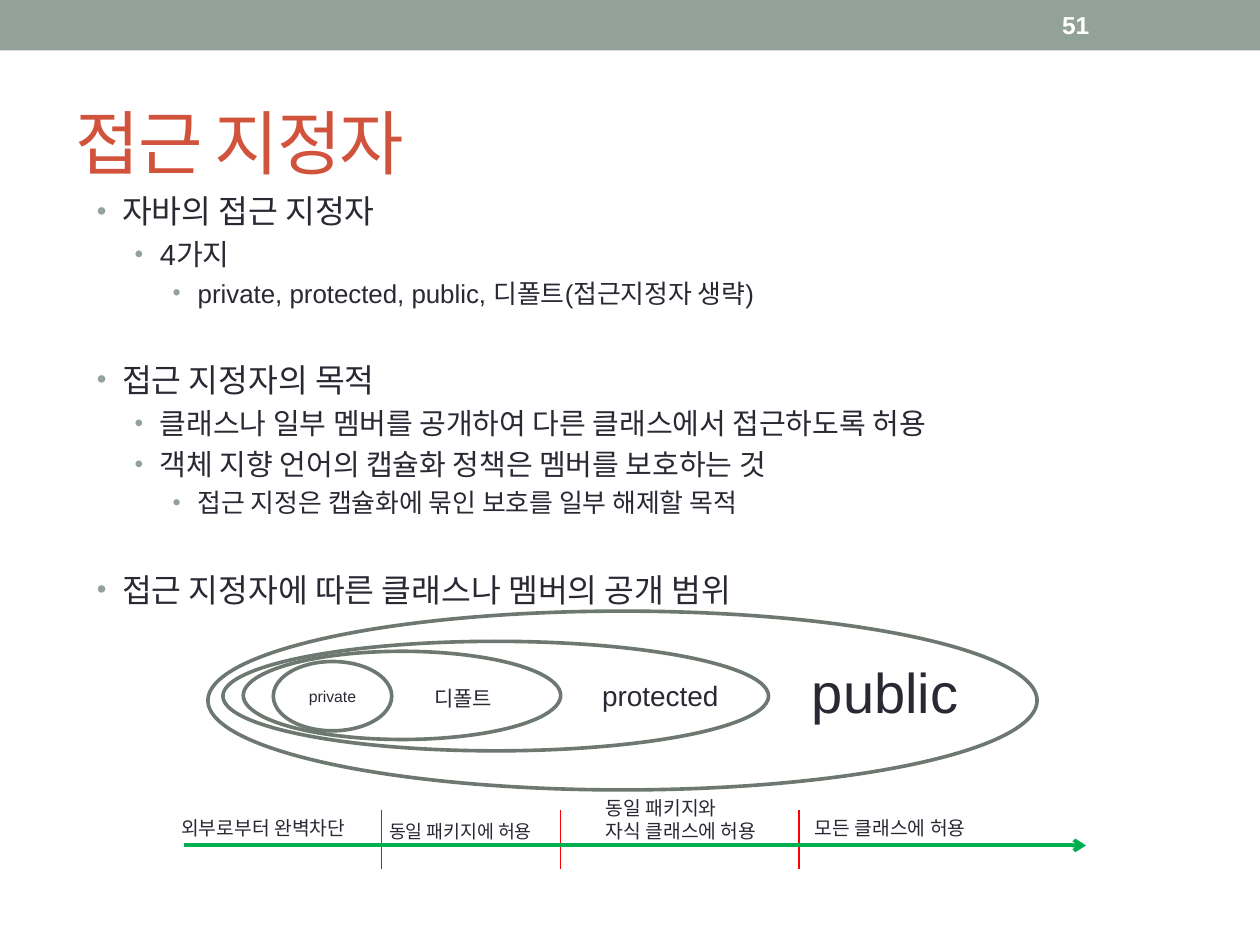
from lxml import etree
from pptx import Presentation
from pptx.dml.color import RGBColor
from pptx.enum.shapes import MSO_CONNECTOR, MSO_SHAPE
from pptx.enum.text import MSO_ANCHOR, MSO_AUTO_SIZE, PP_ALIGN
from pptx.oxml.ns import qn
from pptx.util import Pt

LINE = MSO_CONNECTOR.STRAIGHT
RECT, OVAL = MSO_SHAPE.RECTANGLE, MSO_SHAPE.OVAL
MIDDLE, TOP = MSO_ANCHOR.MIDDLE, MSO_ANCHOR.TOP
FIT, FIXED = MSO_AUTO_SIZE.SHAPE_TO_FIT_TEXT, MSO_AUTO_SIZE.NONE
LEFT, MID = PP_ALIGN.LEFT, PP_ALIGN.CENTER

INK, SAGE, GRAY = "292934", "93A299", "6D7871"
RUST, RED, GREEN, WHITE = "D2533C", "FF0000", "00B050", "FFFFFF"


def color(code):
    return RGBColor.from_string(code)


def add(parent, tag, **attrs):
    return etree.SubElement(parent, qn(tag), attrs)


class Page:
    # Per list level: text size, space before, bullet size
    levels = [(18.5, 4, 85), (16.6, 3.6, 85), (14.8, 3.3, 90)]

    def __init__(self, deck):
        self.slide = deck.slides.add_slide(deck.slide_layouts[1])
        self.shapes = self.slide.shapes

    def style(self, para, size, code=INK, align=LEFT, bold=False):
        para.alignment = align
        form = {"name": "Arial", "size": Pt(size), "bold": bold}
        for key, value in form.items():
            setattr(para.font, key, value)
        para.font.color.rgb = color(code)

    def place(self, shape, box):
        for key, value in zip(("left", "top", "width", "height"), box):
            setattr(shape, key, Pt(value))

    def frame(self, shape, **form):
        for key, value in form.items():
            setattr(shape.text_frame, key, value)
        return shape.text_frame

    def title(self, text, box):
        shape = self.shapes.title
        self.place(shape, box)
        frame = self.frame(shape, text=text, vertical_anchor=MIDDLE, auto_size=FIXED)
        para = frame.paragraphs[0]
        self.style(para, 40, RUST)
        para.runs[0].font._element.set("spc", "-100")

    def body(self, items, box):
        shape = self.slide.placeholders[1]
        self.place(shape, box)
        frame = self.frame(shape, vertical_anchor=TOP, auto_size=FIXED)
        for i, (level, text, gap) in enumerate(items):
            para = frame.add_paragraph() if i else frame.paragraphs[0]
            para.text, para.level = text, level
            size, before, scale = self.levels[level]
            self.bullet(para, level, scale)
            para.space_before = Pt(before + gap if i else 0)
            self.style(para, size)

    def bullet(self, para, level, scale):
        props = para._p.get_or_add_pPr()
        props.set("marL", str(Pt(14.4 + 21.6 * level)))
        props.set("indent", str(Pt(-14.4)))
        add(add(props, "a:buClr"), "a:srgbClr", val=SAGE)
        add(props, "a:buSzPct", val=str(scale * 1000))
        add(props, "a:buFont", typeface="Arial")
        add(props, "a:buChar", char="•")

    def label(self, text, box, size, code=INK, align=LEFT, bold=False,
              anchor=TOP, fit=FIT):
        shape = self.shapes.add_textbox(*map(Pt, box))
        frame = self.frame(shape, text=text, word_wrap=False,
                           vertical_anchor=anchor, auto_size=fit)
        for para in frame.paragraphs:
            self.style(para, size, code, align, bold)

    def shape(self, kind, box, fill=None, line=None, text="", size=9):
        shape = self.shapes.add_shape(kind, *map(Pt, box))
        shape.shadow.inherit = False
        if fill:
            shape.fill.solid()
            shape.fill.fore_color.rgb = color(fill)
        else:
            shape.fill.background()
        if line:
            shape.line.color.rgb = color(line)
            shape.line.width = Pt(2.08)
        else:
            shape.line.fill.background()
        if text:
            frame = self.frame(shape, text=text, vertical_anchor=MIDDLE)
            self.style(frame.paragraphs[0], size, align=MID)

    def line(self, start, end, code, width, arrow=False):
        line = self.shapes.add_connector(LINE, *map(Pt, start + end))
        line.line.color.rgb = color(code)
        line.line.width = Pt(width)
        if arrow:
            add(line.line._get_or_add_ln(), "a:tailEnd", type="arrow")
        add(line._element.spPr, "a:effectLst")


def main():
    deck = Presentation()
    deck.slide_width, deck.slide_height = Pt(720), Pt(540)
    page = Page(deck)

    # Top band and page number
    page.shape(RECT, (0, 0, 720, 28.8), fill=SAGE)
    page.label("51", (599.8, 1.4, 84.2, 26), 14, WHITE, bold=True,
               anchor=MIDDLE, fit=FIXED)

    # Title and list: level, text, extra gap above
    page.title("접근 지정자", (36, 41.8, 648, 77.8))
    page.body([
        (0, "자바의 접근 지정자", 0),
        (1, "4가지", 0),
        (2, "private, protected, public, 디폴트(접근지정자 생략)", 0),
        (0, "접근 지정자의 목적", 25.5),
        (1, "클래스나 일부 멤버를 공개하여 다른 클래스에서 접근하도록 허용", 0),
        (1, "객체 지향 언어의 캡슐화 정책은 멤버를 보호하는 것", 0),
        (2, "접근 지정은 캡슐화에 묶인 보호를 일부 해제할 목적", 0),
        (0, "접근 지정자에 따른 클래스나 멤버의 공개 범위", 25.5),
    ], (48.2, 105.8, 642.2, 244))

    # Nested scopes, innermost first
    page.shape(OVAL, (156.2, 378, 67.7, 39.6), line=GRAY, text="private")
    scopes = [
        ((139, 372.2, 181.4, 50.4), "디폴트", (239, 388.1, 51.1, 21.6), 12),
        ((127.4, 366.5, 311.8, 62.6), "protected", (334.8, 384.5, 85, 26.6), 16),
        ((118.8, 349.2, 473.8, 102.2), "public", (454.3, 372.2, 103, 46.1), 32),
    ]
    for ring, name, box, size in scopes:
        page.shape(OVAL, ring, line=GRAY)
        page.label(name, box, size, align=MID)

    # Scope axis: dividers, captions and arrow
    for x in (218.2, 320.4, 456.5):
        page.line((x, 462.8), (x, 496.6), RED, 0.75)
    notes = [
        ("외부로부터 완벽차단", (96.5, 463, 118.1, 20.9), 11),
        ("동일 패키지에 허용", (215.3, 465.1, 107.3, 20.2), 10.5),
        ("동일 패키지와\n자식 클래스에 허용", (339.1, 451.4, 110.9, 33.8), 11),
        ("모든 클래스에 허용", (458.6, 463, 110.9, 20.9), 11),
    ]
    for text, box, size in notes:
        page.label(text, box, size)
    page.line((105.1, 483.1), (620.6, 483.1), GREEN, 2.25, arrow=True)

    deck.save("out.pptx")


if __name__ == "__main__":
    main()
